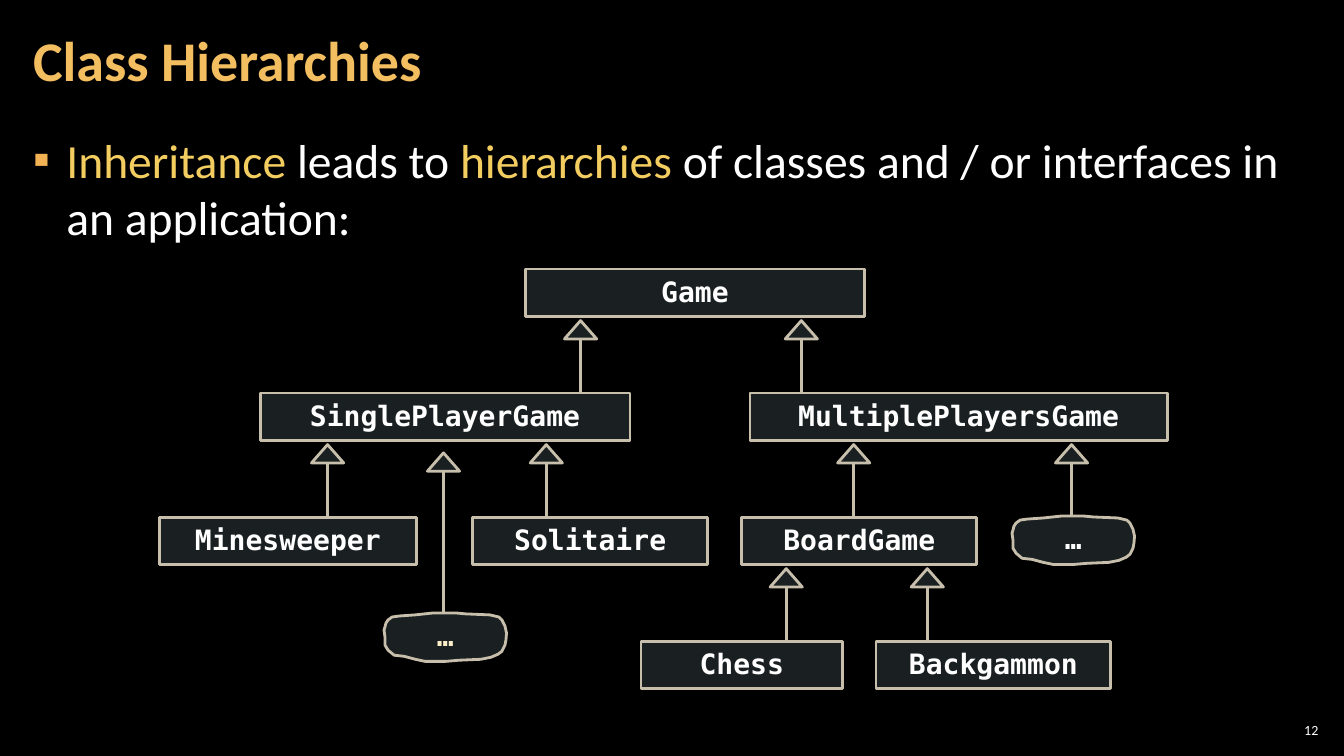
from lxml.etree import SubElement
from pptx import Presentation
from pptx.dml.color import RGBColor
from pptx.enum.shapes import MSO_CONNECTOR as Connector, MSO_SHAPE as Preset
from pptx.enum.text import MSO_ANCHOR as Anchor, MSO_AUTO_SIZE as AutoSize, PP_ALIGN as Align
from pptx.oxml.ns import qn
from pptx.util import Pt

SANS, MONO = "Calibri", "DejaVu Sans Mono"
WHITE, GOLD, TITLE_GOLD, CREAM = "FFFFFF", "F3CD60", "F3BE60", "FBEEC9"
GLASS, BORDER, BULLET = "B5DBE5", "C7BFAC", "F2B254"

ROW_TOP, ROW_STEP, BOX_HEIGHT = 192.2, 88.6, 33.8
ARROW_TOP, HEAD_WIDTH, HEAD_HEIGHT, STEM = 229, 23, 13.1, 38.2

CLASSES = [
    ("Game", 0, 375.1, 242.6),
    ("SinglePlayerGame", 1, 185.8, 264.2),
    ("MultiplePlayersGame", 1, 535.7, 298.1),
    ("Minesweeper", 2, 113.8, 183.6),
    ("Solitaire", 2, 337.7, 167.8),
    ("BoardGame", 2, 529.9, 167.8),
    ("Chess", 3, 457.9, 144),
    ("Backgammon", 3, 625.7, 167.8),
]
ARROWS = [
    (0, (414.7, 572.4)),
    (1, (234, 390.2, 609.8, 765.4)),
    (2, (561.6, 662.4)),
]
CLOUD = [
    (0, 12.2), (0.7, 10), (1.4, 7.2), (2.9, 5), (5.8, 2.9), (10.8, 2.2),
    (22.3, 1.4), (35.3, 0), (51.1, 0), (58.3, 0.7), (75.6, 1.4), (82, 2.9),
    (84.2, 5), (86.4, 9.4), (87.5, 14.4), (87.1, 19.4), (86.4, 23),
    (84.2, 27.4), (81.4, 29.5), (76.3, 31.7), (69.1, 33.1), (53.3, 33.8),
    (43.9, 34.6), (29.5, 34.6), (22.3, 33.1), (14.4, 31), (7.2, 30.2),
    (2.9, 26.6), (0.7, 23), (0.7, 17.3),
]


def paint(color_format, value):
    color_format.rgb = RGBColor.from_string(value)


def add_run(paragraph, text, font, size, color, bold=False):
    run = paragraph.add_run()
    run.text = text
    run.font.name = font
    run.font.size = Pt(size)
    run.font.bold = bold
    paint(run.font.color, color)


def set_frame(frame, horizontal, vertical, anchor):
    frame.word_wrap = True
    frame.auto_size = AutoSize.NONE
    frame.margin_left = frame.margin_right = Pt(horizontal)
    frame.margin_top = frame.margin_bottom = Pt(vertical)
    frame.vertical_anchor = anchor
    return frame.paragraphs[0]


def add_text_box(slide, left, top, width, height, margin, anchor):
    box = slide.shapes.add_textbox(Pt(left), Pt(top), Pt(width), Pt(height))
    return set_frame(box.text_frame, margin, 2.9, anchor)


def add_bullet(paragraph):
    properties = paragraph._p.get_or_add_pPr()
    properties.set("marL", str(Pt(23.8)))
    properties.set("indent", str(-Pt(23.8)))
    color = SubElement(properties, qn("a:buClr"))
    SubElement(color, qn("a:srgbClr"), val=BULLET)
    SubElement(properties, qn("a:buFont"), typeface=SANS)
    SubElement(properties, qn("a:buChar"), char="▪")


def style_glass(shape):
    shape.shadow.inherit = False
    shape.fill.solid()
    paint(shape.fill.fore_color, GLASS)
    color = shape._element.spPr.find(qn("a:solidFill")).find(qn("a:srgbClr"))
    SubElement(color, qn("a:alpha"), val="15000")
    paint(shape.line.color, BORDER)
    shape.line.width = Pt(2)


def add_label(shape, text, color=WHITE):
    frame = shape.text_frame
    frame.word_wrap = False
    frame.vertical_anchor = Anchor.MIDDLE
    paragraph = frame.paragraphs[0]
    paragraph.alignment = Align.CENTER
    paragraph.line_spacing = 0.95
    add_run(paragraph, text, MONO, 20, color, True)


def add_class(slide, name, row, left, width):
    top = ROW_TOP + row * ROW_STEP
    box = slide.shapes.add_shape(
        Preset.RECTANGLE, Pt(left), Pt(top), Pt(width), Pt(BOX_HEIGHT))
    style_glass(box)
    add_label(box, name)


def add_cloud(slide, left, top, color):
    points = [(Pt(left + x), Pt(top + y)) for x, y in CLOUD]
    builder = slide.shapes.build_freeform(*points[0])
    builder.add_line_segments(points[1:], close=True)
    cloud = builder.convert_to_shape()
    style_glass(cloud)
    add_label(cloud, "…", color)


def add_arrow(slide, center, tip, stem=STEM):
    head = slide.shapes.add_shape(
        Preset.ISOSCELES_TRIANGLE, Pt(center - HEAD_WIDTH / 2), Pt(tip),
        Pt(HEAD_WIDTH), Pt(HEAD_HEIGHT))
    style_glass(head)
    base = tip + HEAD_HEIGHT
    line = slide.shapes.add_connector(
        Connector.STRAIGHT, Pt(center), Pt(base), Pt(center), Pt(base + stem))
    paint(line.line.color, BORDER)
    line.line.width = Pt(2)
    SubElement(line._element.spPr, qn("a:effectLst"))


def add_title(slide, text):
    title = slide.shapes.title
    title.left, title.top, title.width, title.height = Pt(15.1), Pt(2.9), Pt(753.8), Pt(87.1)
    paragraph = set_frame(title.text_frame, 8.5, 2.9, Anchor.MIDDLE)
    paragraph.alignment = Align.LEFT
    paragraph.line_spacing = Pt(40)
    add_run(paragraph, text, SANS, 40, TITLE_GOLD, True)


def add_statement(slide):
    paragraph = add_text_box(slide, 15.1, 90.7, 929.5, 438.5, 8.5, Anchor.TOP)
    add_bullet(paragraph)
    paragraph.space_after = Pt(6)
    for text, color in [
        ("Inheritance", GOLD),
        (" leads to ", WHITE),
        ("hierarchies ", GOLD),
        ("of classes and / or interfaces in an application:", WHITE),
    ]:
        add_run(paragraph, text, SANS, 34, color)


def main():
    presentation = Presentation()
    presentation.slide_width, presentation.slide_height = Pt(960), Pt(540)
    slide = presentation.slides.add_slide(presentation.slide_layouts[5])
    slide.background.fill.solid()
    paint(slide.background.fill.fore_color, "000000")

    add_title(slide, "Class Hierarchies")
    add_statement(slide)
    for name, row, left, width in CLASSES:
        add_class(slide, name, row, left, width)
    for row, centers in ARROWS:
        for center in centers:
            add_arrow(slide, center, ARROW_TOP + row * ROW_STEP)
    add_arrow(slide, 316.8, 323.5, 101.2)
    add_cloud(slide, 722.9, 368.6, WHITE)
    add_cloud(slide, 274.3, 437.8, CREAM)

    number = add_text_box(slide, 910.8, 514.1, 33.8, 15.1, 2.9, Anchor.MIDDLE)
    number.alignment = Align.RIGHT
    add_run(number, "12", SANS, 10, WHITE)
    presentation.save("out.pptx")


if __name__ == "__main__":
    main()
